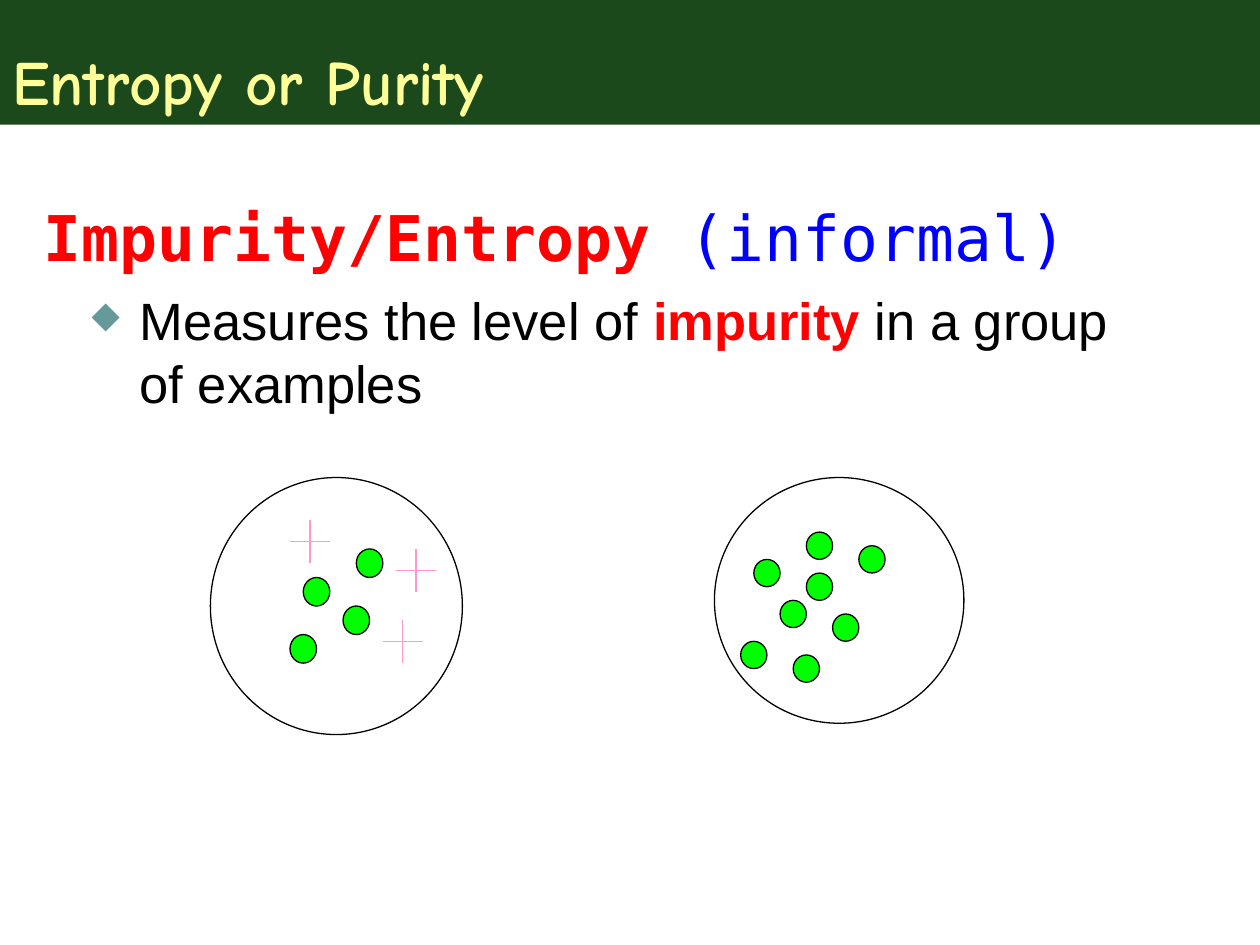
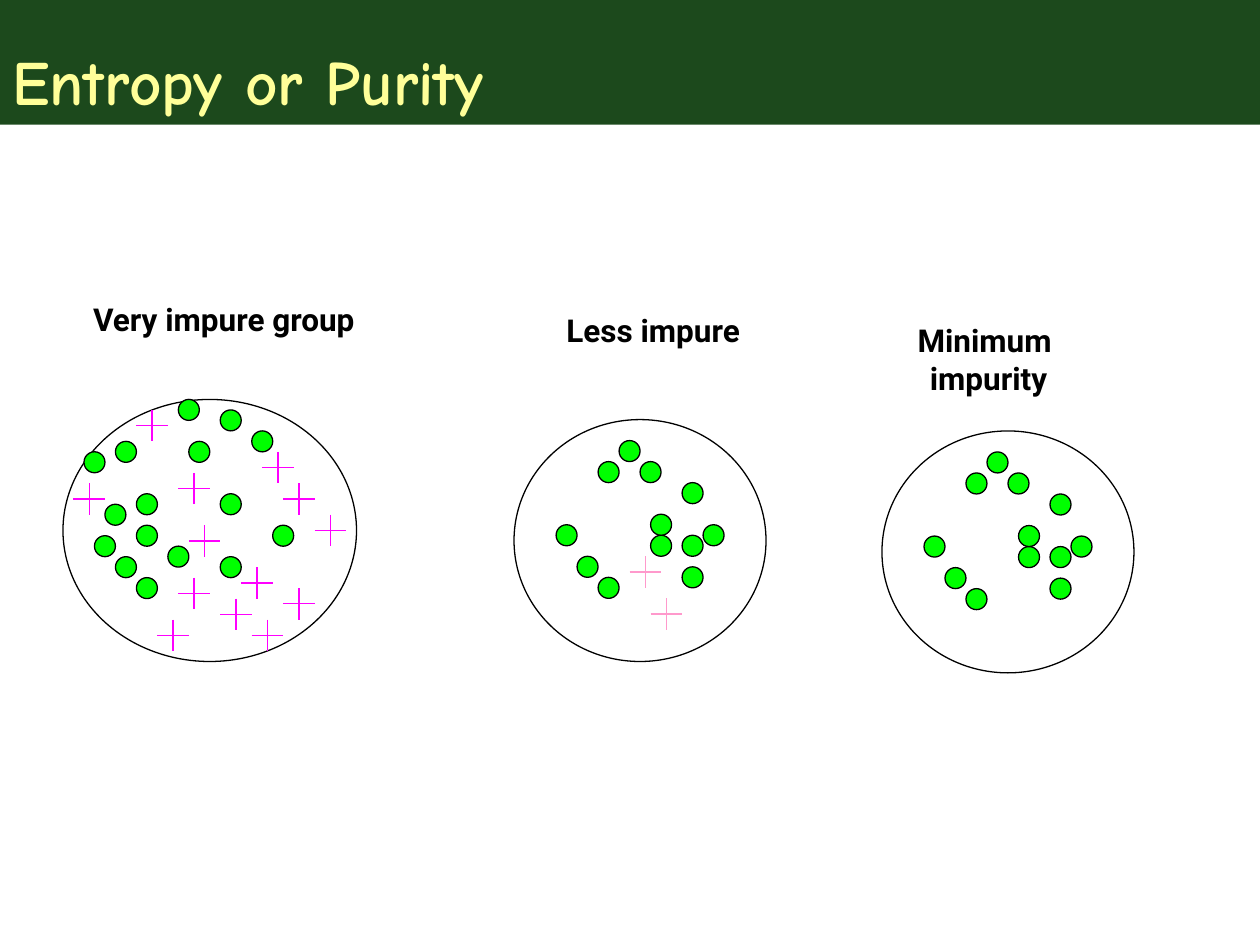
from lxml import etree
from pptx import Presentation
from pptx.dml.color import RGBColor
from pptx.enum.shapes import MSO_CONNECTOR, MSO_SHAPE
from pptx.enum.text import MSO_ANCHOR, PP_ALIGN
from pptx.oxml.ns import qn
from pptx.util import Inches, Pt

STRAIGHT = MSO_CONNECTOR.STRAIGHT
ELLIPSE, RECTANGLE = MSO_SHAPE.OVAL, MSO_SHAPE.RECTANGLE
LEFT, CENTER = PP_ALIGN.LEFT, PP_ALIGN.CENTER
BOTTOM = MSO_ANCHOR.BOTTOM

BAND, TITLE_COLOR, BULLET = "003300", "FFFF99", "669999"
BLACK, RED, BLUE = "000000", "FF0000", "0000FF"
GREEN, PINK, MAGENTA = "00FF00", "FF99CC", "FF00FF"
TITLE_FONT, HEADING_FONT, BODY_FONT, LABEL_FONT = "Comic Neue", "DejaVu Sans Mono", "Arial", "Roboto"

TITLE = "Entropy or Purity"
HEADING = [("Impurity/Entropy ", RED, True), ("(informal)", BLUE, False)]
DEFINITION = [("Measures the level of ", BLACK, False), ("impurity", RED, True),
              (" in a group of examples", BLACK, False)]

# PLACEHOLDER
NEARLY_PURE_DOTS = [(10, 2), (16, 11), (13, 11), (8, 4), (16, 14), (16, 6),
                    (4, 10), (6, 13), (8, 15), (12, 4), (13, 9), (18, 10)]

INTRO_GROUPS = [
    dict(box=(1.67, 3.79, 2, 2.04), cells=(19, 18), color=PINK,
         dots=[(7, 7), (11, 5), (6, 11), (10, 9)],
         crosses=[(6, 3), (14, 5), (13, 10)]),
    dict(box=(5.67, 3.79, 1.98, 1.95), cells=(19, 18), color=PINK,
         dots=[(7, 7), (11, 5), (9, 10), (6, 13), (3, 6), (7, 4), (5, 9), (2, 12)],
         crosses=[]),
]
COMPARISON_GROUPS = [
    dict(box=(0.5, 3.17, 2.33, 2.08), cells=(28, 25), color=MAGENTA,
         dots=[(20, 12), (15, 9), (5, 4), (3, 13), (7, 12), (15, 1), (11, 0), (12, 4),
               (18, 3), (15, 15), (5, 15), (7, 17), (10, 14), (7, 9), (4, 10), (2, 5)],
         crosses=[(7, 1), (11, 7), (11, 17), (19, 5), (1, 8), (15, 19), (9, 21),
                  (21, 18), (12, 12), (17, 16), (18, 21), (21, 8), (24, 11)]),
    dict(box=(4.08, 3.33, 2, 1.92), cells=(24, 23), color=PINK,
         dots=NEARLY_PURE_DOTS, crosses=[(11, 13), (13, 17)]),
    dict(box=(7, 3.42, 2, 1.92), cells=(24, 23), color=PINK,
         dots=NEARLY_PURE_DOTS, crosses=[]),
]
LABELS = [
    ("Very impure group", (0.64, 2.33, 2.55, 0.4), LEFT, False),
    ("Less impure ", (4.33, 2.42, 1.77, 0.7), CENTER, False),
    ("Minimum \nimpurity", (6.75, 2.5, 2.19, 0.7), CENTER, True),
]
DOT_CELLS, CROSS_CELLS = 2, 3


def rgb(color):
    return RGBColor.from_string(color)


def inches(*lengths):
    return [Inches(length) for length in lengths]


def format_run(run, font, size, color, bold):
    run.font.name, run.font.size, run.font.bold = font, Pt(size), bold
    run.font.color.rgb = rgb(color)


def add_runs(paragraph, pieces, font, size):
    for text, color, bold in pieces:
        run = paragraph.add_run()
        run.text = text
        format_run(run, font, size, color, bold)


def add_title(slide):
    band = slide.shapes.add_shape(RECTANGLE, *inches(0, -0.03, 10, 1.02))
    band.shadow.inherit = False
    band.line.fill.background()
    band.fill.solid()
    band.fill.fore_color.rgb = rgb(BAND)
    color = band.fill._xPr.find(".//" + qn("a:srgbClr"))
    etree.SubElement(color, qn("a:alpha"), val="89000")
    text_frame = band.text_frame
    text_frame.text = TITLE
    text_frame.vertical_anchor = BOTTOM
    paragraph = text_frame.paragraphs[0]
    paragraph.alignment = LEFT
    format_run(paragraph.runs[0], TITLE_FONT, 36, TITLE_COLOR, True)


def add_ellipse(shapes, box, fill=None):
    ellipse = shapes.add_shape(ELLIPSE, *inches(*box))
    ellipse.shadow.inherit = False
    ellipse.line.color.rgb = rgb(BLACK)
    ellipse.line.width = Pt(0.75)
    if fill:
        ellipse.fill.solid()
        ellipse.fill.fore_color.rgb = rgb(fill)
    else:
        ellipse.fill.background()


def add_cross(shapes, left, top, width, height, color):
    middle, center = top + height / 2, left + width / 2
    for ends in [(left, middle, left + width, middle), (center, top, center, top + height)]:
        line = shapes.add_connector(STRAIGHT, *inches(*ends))
        line.line.color.rgb = rgb(color)
        line.line.width = Pt(0.75)
        etree.SubElement(line._element.spPr, qn("a:effectLst"))


def add_example_group(slide, box, cells, color, dots, crosses):
    shapes = slide.shapes.add_group_shape().shapes
    left, top, width, height = box
    cell_width, cell_height = width / cells[0], height / cells[1]

    def place(column, row, span):
        return (left + column * cell_width, top + row * cell_height,
                span * cell_width, span * cell_height)

    add_ellipse(shapes, box)
    for column, row in dots:
        add_ellipse(shapes, place(column, row, DOT_CELLS), GREEN)
    for column, row in crosses:
        add_cross(shapes, *place(column, row, CROSS_CELLS), color)


def indent(paragraph, margin):
    properties = paragraph._p.get_or_add_pPr()
    properties.set("marL", str(Inches(margin)))
    properties.set("indent", str(Inches(-0.38)))
    return properties


def add_definition(slide):
    text_frame = slide.shapes.add_textbox(*inches(0.25, 1.53, 9, 5.21)).text_frame
    text_frame.word_wrap = True
    heading = text_frame.paragraphs[0]
    heading.space_before = Pt(9)
    indent(heading, 0.38)
    add_runs(heading, HEADING, HEADING_FONT, 36)

    definition = text_frame.add_paragraph()
    definition.space_before = Pt(7.5)
    properties = indent(definition, 0.76)
    bullet_color = etree.SubElement(properties, qn("a:buClr"))
    etree.SubElement(bullet_color, qn("a:srgbClr"), val=BULLET)
    etree.SubElement(properties, qn("a:buSzPct"), val="70000")
    etree.SubElement(properties, qn("a:buChar"), char="◆")
    add_runs(definition, DEFINITION, BODY_FONT, 30)


def add_label(slide, text, box, alignment, wrap):
    text_frame = slide.shapes.add_textbox(*inches(*box)).text_frame
    text_frame.word_wrap = wrap
    text_frame.text = text
    for paragraph in text_frame.paragraphs:
        paragraph.alignment = alignment
        format_run(paragraph.runs[0], LABEL_FONT, 18, BLACK, True)


def add_slide(presentation, groups):
    slide = presentation.slides.add_slide(presentation.slide_layouts[6])
    add_title(slide)
    for group in groups:
        add_example_group(slide, **group)
    return slide


def main():
    presentation = Presentation()
    presentation.slide_width, presentation.slide_height = inches(10, 7.5)
    add_definition(add_slide(presentation, INTRO_GROUPS))
    comparison = add_slide(presentation, COMPARISON_GROUPS)
    for label in LABELS:
        add_label(comparison, *label)
    presentation.save("out.pptx")


if __name__ == "__main__":
    main()
